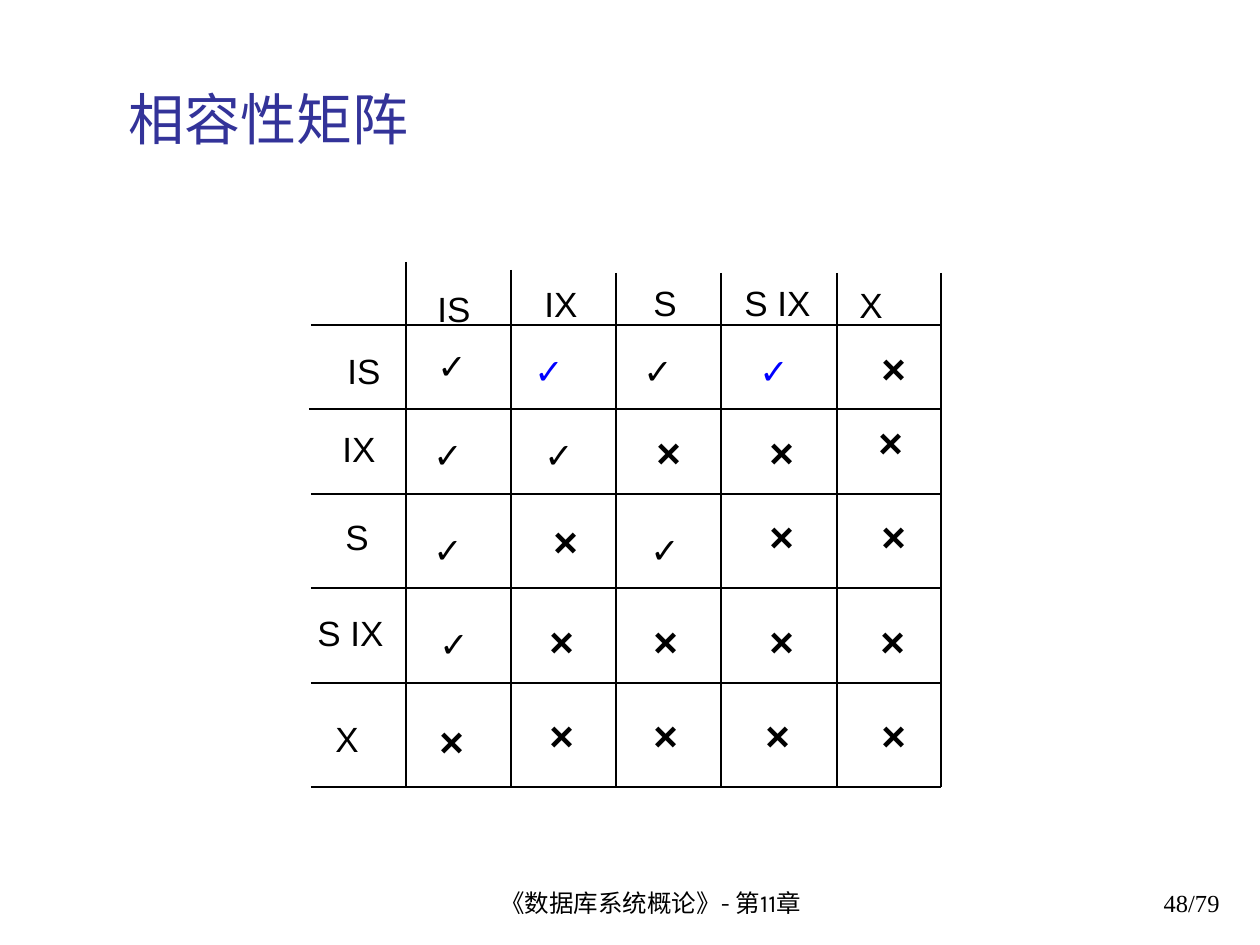
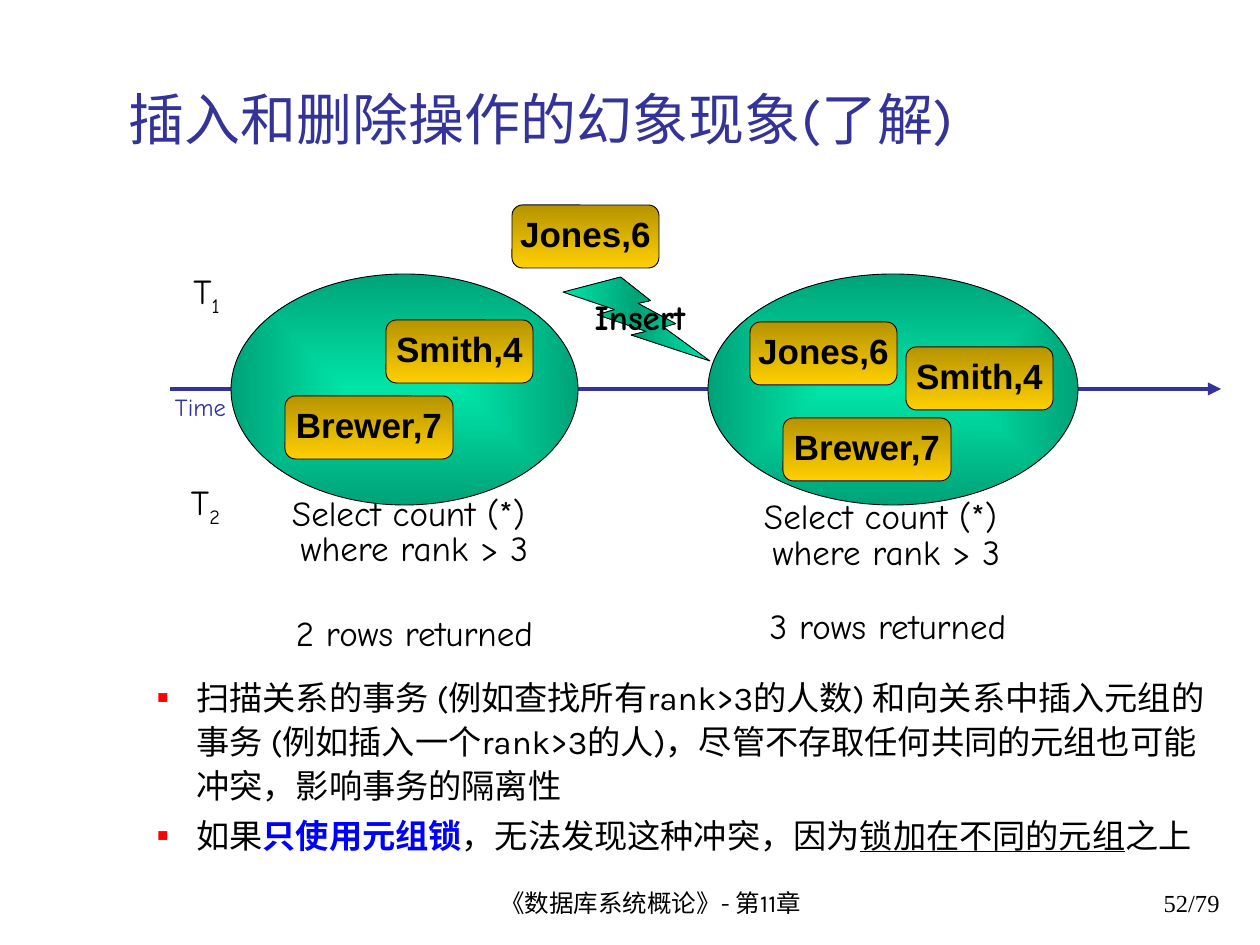
from dataclasses import dataclass

from pptx import Presentation
from pptx import util as u
from pptx.dml.color import RGBColor
from pptx.enum import shapes, text
from pptx.oxml import parse_xml
from pptx.oxml.ns import nsdecls, qn
from pptx.oxml.xmlchemy import OxmlElement

LEFT, CENTER, RIGHT = text.PP_ALIGN.LEFT, text.PP_ALIGN.CENTER, text.PP_ALIGN.RIGHT
TOP, MIDDLE, BOTTOM = text.MSO_ANCHOR.TOP, text.MSO_ANCHOR.MIDDLE, text.MSO_ANCHOR.BOTTOM
LINEAR_DOWN = '<a:lin ang="5400000" scaled="1"/>'
LINEAR_ACROSS = '<a:lin ang="0" scaled="1"/>'
FROM_CENTER = '<a:path path="shape"><a:fillToRect l="50000" t="50000" r="50000" b="50000"/></a:path>'


@dataclass(frozen=True)
class Theme:
    """Colours, faces and type sizes of the lecture."""
    ink: str = "000000"
    accent: str = "333399"
    emphasis: str = "0000FF"
    bullet: str = "FF0000"
    gold: tuple = ((0, "B69401"), (100, "FFCF01"))
    pool: tuple = ((0, "00E4A8"), (100, "00A378"))
    bolt: tuple = ((0, "00E4A8"), (50, "00A378"), (100, "00E4A8"))
    main: str = "Karla"
    plain: str = "Arial"
    hand: str = "Comic Neue"
    serif: str = "Times New Roman"
    title: int = 32
    cross: int = 24
    label: int = 20
    body: int = 19
    small: int = 14


def px(length):
    """Turn px at 126 to the inch into EMU."""
    return u.Emu(round(length * 914400 / 126))


def write(frame, paragraphs, face, size, color=Theme.ink, bold=False, align=LEFT, anchor=TOP,
          wrap=True, spacing=None, before=0, bullet=None):
    """Fill a text frame; a paragraph is a string or a list of (words, changes) runs."""
    frame.word_wrap = wrap
    frame.vertical_anchor = anchor
    for index, content in enumerate(paragraphs):
        paragraph = frame.paragraphs[0] if index == 0 else frame.add_paragraph()
        if bullet:
            add_bullet(paragraph, bullet)
        paragraph.alignment = align
        if spacing:
            paragraph.line_spacing = spacing
        if index and before:
            paragraph.space_before = u.Pt(before)
        for words, changes in [(content, {})] if isinstance(content, str) else content:
            for line_index, line in enumerate(words.split("\n")):
                if line_index:
                    paragraph.add_line_break()
                run = paragraph.add_run()
                run.text = line
                font = run.font
                font.name, font.size = face, u.Pt(size)
                font.bold = changes.get("bold", bold)
                font.underline = changes.get("underline")
                font.color.rgb = RGBColor.from_string(changes.get("color", color))
                properties = run._r.get_or_add_rPr()
                if "baseline" in changes:
                    properties.set("baseline", str(changes["baseline"] * 1000))
                east_asian = OxmlElement("a:ea")
                east_asian.set("typeface", face)
                properties.append(east_asian)


def add_bullet(paragraph, color):
    """Give a paragraph a small square bullet with a hanging indent."""
    properties = paragraph._p.get_or_add_pPr()
    properties.set("marL", str(px(102)))
    properties.set("indent", str(px(-39)))
    for xml in (f'<a:buClr {nsdecls("a")}><a:srgbClr val="{color}"/></a:buClr>',
                f'<a:buSzPct {nsdecls("a")} val="55000"/>',
                f'<a:buFont {nsdecls("a")} typeface="Arial"/>',
                f'<a:buChar {nsdecls("a")} char="■"/>'):
        properties.append(parse_xml(xml))


class Lecture:
    """Holds the style and the current slide."""

    def __init__(self, theme):
        self.theme = theme
        self.deck = Presentation()
        self.deck.slide_width, self.deck.slide_height = px(1260), px(945)
        self.slide = None

    def page(self, title, number):
        """Start a slide with its title and footer."""
        t = self.theme
        self.slide = self.deck.slides.add_slide(self.deck.slide_layouts[6])
        self.text((116, 53, 1116, 105), title, face=t.main, size=t.title, color=t.accent, anchor=BOTTOM)
        self.text((451, 861, 399, 63), "《数据库系统概论》- 第11章", face=t.main, size=t.small,
                  align=CENTER, anchor=BOTTOM)
        self.text((970, 861, 262, 63), f"{number}/79", face=t.serif, size=t.small,
                  align=RIGHT, anchor=BOTTOM)

    def text(self, box, *paragraphs, **style):
        """Place a text box."""
        write(self.slide.shapes.add_textbox(*map(px, box)).text_frame, paragraphs, **style)

    def note(self, box, *paragraphs, size=Theme.label, spacing=0.9, **style):
        """Place a centred handwritten note."""
        self.text(box, *paragraphs, face=self.theme.hand, size=size, spacing=spacing,
                  align=CENTER, anchor=MIDDLE, wrap=False, **style)

    def line(self, start, end, color, width, arrow=False):
        """Draw a straight line, with an arrowhead at its end if asked."""
        connector = self.slide.shapes.add_connector(
            shapes.MSO_CONNECTOR.STRAIGHT, *map(px, start + end))
        connector.line.color.rgb = RGBColor.from_string(color)
        connector.line.width = u.Pt(width)
        if arrow:
            head = OxmlElement("a:tailEnd")
            head.set("type", "triangle")
            connector.line._get_or_add_ln().append(head)
        connector._element.spPr.append(OxmlElement("a:effectLst"))

    def shape(self, kind, box, stops, direction, words=None, face=None):
        """Draw a gradient shape with optional bold text."""
        shape = self.slide.shapes.add_shape(kind, *map(px, box))
        shape.shadow.inherit = False
        shape.fill.gradient()
        stop_xml = "".join(f'<a:gs pos="{place * 1000}"><a:srgbClr val="{color}"/></a:gs>'
                           for place, color in stops)
        properties = shape._element.spPr
        properties.replace(properties.find(qn("a:gradFill")), parse_xml(
            f'<a:gradFill {nsdecls("a")} rotWithShape="1"><a:gsLst>{stop_xml}</a:gsLst>{direction}</a:gradFill>'))
        shape.line.color.rgb = RGBColor.from_string(self.theme.ink)
        shape.line.width = u.Pt(0.5)
        if words:
            write(shape.text_frame, [words], face=face, size=self.theme.label, bold=True,
                  align=CENTER, anchor=MIDDLE, wrap=False, spacing=0.9)

    def pool(self, left, width):
        """Draw the ellipse of tuples that a query sees."""
        self.shape(shapes.MSO_SHAPE.OVAL, (left, 274, width, 231), self.theme.pool, FROM_CENTER)

    def record(self, left, top, words, width=147):
        """Draw one tuple as a gold card."""
        self.shape(shapes.MSO_SHAPE.ROUNDED_RECTANGLE, (left, top, width, 63), self.theme.gold,
                   LINEAR_DOWN, words, self.theme.plain)


def compatibility_matrix(lecture):
    """Build the lock compatibility matrix."""
    t = lecture.theme
    lecture.page("相容性矩阵", 48)
    for x, top in zip((406, 511, 616, 721, 837, 941), (262, 270, 273, 273, 273, 273)):
        lecture.line((x, top), (x, 787), t.ink, 0.75)
    for y, left in zip((325, 409, 494, 588, 683, 787), (311, 309, 311, 311, 311, 311)):
        lecture.line((left, y), (941, y), t.ink, 0.75)

    locks = ("IS", "IX", "S", "S IX", "X")
    column_places = ((425, 281), (532, 276), (641, 275), (732, 275), (847, 277))
    row_places = ((335, 343), (330, 421), (333, 509), (305, 605), (323, 711))
    for lock, place in zip(locks * 2, column_places + row_places):
        lecture.text((*place, 100, 54), lock, face=t.plain, size=t.label)

    verdicts = (
        ("✓✓✓✓×", (425, 522, 631, 747, 869), (338, 343, 343, 343, 336)),
        ("✓✓×××", (421, 532, 644, 757, 866), (427, 427, 420, 420, 410)),
        ("✓×✓××", (421, 541, 638, 757, 869), (522, 509, 522, 504, 504)),
        ("✓××××", (427, 537, 641, 757, 868), (616, 609, 609, 609, 609)),
        ("×××××", (427, 537, 641, 753, 869), (709, 703, 703, 703, 703)),
    )
    highlighted = {("IS", "IX"), ("IS", "S IX")}
    for held, (marks, lefts, tops) in zip(locks, verdicts):
        for wanted, mark, left, top in zip(locks, marks, lefts, tops):
            conflict = mark == "×"
            lecture.text((left, top, 60, 60), mark, face=t.plain, bold=conflict,
                         size=t.cross if conflict else t.label,
                         color=t.emphasis if (held, wanted) in highlighted else t.ink)


def phantom_rows(lecture):
    """Build the phantom phenomenon timeline."""
    t = lecture.theme
    lecture.page("插入和删除操作的幻象现象(了解)", 52)
    lecture.text(
        (82, 667, 1155, 200),
        "扫描关系的事务 (例如查找所有rank>3的人数) 和向关系中插入元组的事务 "
        "(例如插入一个rank>3的人)，尽管不存取任何共同的元组也可能冲突，影响事务的隔离性",
        [("如果", {}), ("只使用元组锁", {"color": t.emphasis, "bold": True}),
         ("，无法发现这种冲突，因为", {}), ("锁加在不同的元组", {"underline": True}), ("之上", {})],
        face=t.main, size=t.body, spacing=1.1, before=4, bullet=t.bullet)

    for digit, left, top in (("2", 175, 478), ("1", 176, 267)):
        lecture.note((left, top, 61, 50), [("T", {}), (digit, {"baseline": -25})])
    lecture.line((170, 389), (1221, 389), t.accent, 2.5, arrow=True)
    lecture.note((160, 389, 81, 39), "Time", size=t.small, color=t.accent)

    query = "Select count (*) \nwhere rank > 3"
    lecture.note((266, 498, 297, 155), query, "2 rows returned", spacing=0.85, before=28)
    lecture.shape(shapes.MSO_SHAPE.LIGHTNING_BOLT, (563, 277, 147, 84), t.bolt, LINEAR_ACROSS,
                  "Insert", t.hand)
    lecture.record(512, 205, "Jones,6")

    lecture.pool(708, 370)
    lecture.record(906, 347, "Smith,4")
    lecture.record(783, 418, "Brewer,7", 168)
    lecture.record(750, 322, "Jones,6")
    lecture.pool(231, 347)
    lecture.record(386, 320, "Smith,4")
    lecture.record(285, 396, "Brewer,7", 168)
    lecture.note((738, 495, 297, 84), query, spacing=0.85)
    lecture.note((743, 605, 290, 48), "3 rows returned", spacing=0.85)


def main():
    """Build and save both slides."""
    lecture = Lecture(Theme())
    compatibility_matrix(lecture)
    phantom_rows(lecture)
    lecture.deck.save("out.pptx")


if __name__ == "__main__":
    main()
